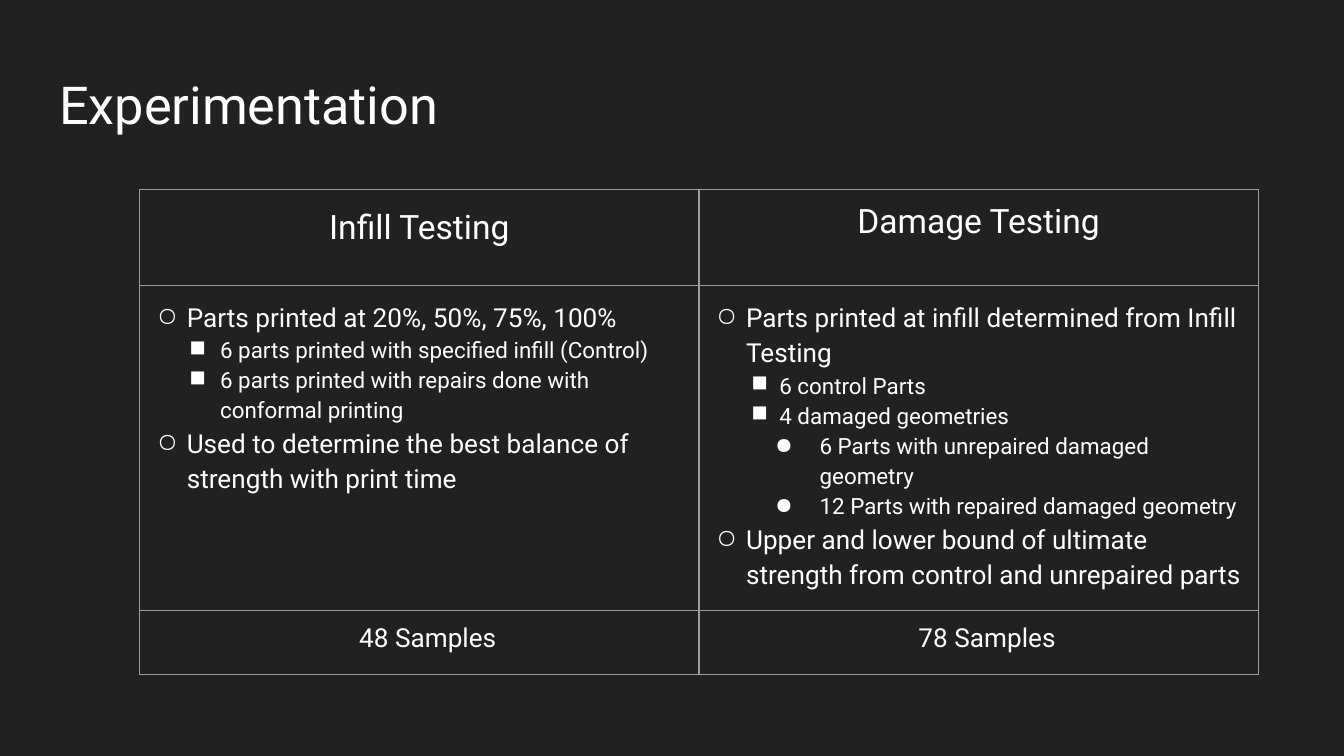
import pptx
import pptx.dml.color
import pptx.enum.text
import pptx.oxml
import pptx.oxml.ns
import pptx.util
from pptx.util import Cm

NS = pptx.oxml.ns.nsdecls("a")
WHITE, GREY, DARK = "FFFFFF", "9E9E9E", "212121"


def color(code):
    return pptx.dml.color.RGBColor.from_string(code)


def write(para, text, size=14, center=False, left=0, hang=0, mark=None, level=0,
          lines=None, after=None):
    """Fill one paragraph; left and hang are its indents in cm."""
    para.level = level
    if center:
        para.alignment = pptx.enum.text.PP_ALIGN.CENTER
    if lines:
        para.line_spacing = lines
    if after:
        para.space_after = pptx.util.Pt(after)
    props = para._p.get_or_add_pPr()
    props.set("marL", str(Cm(left)))
    props.set("indent", str(Cm(-hang)))
    if mark:
        for xml in (f'<a:buClr {NS}><a:srgbClr val="{WHITE}"/></a:buClr>',
                    f'<a:buChar {NS} char="{mark}"/>'):
            props.append(pptx.oxml.parse_xml(xml))
    run = para.add_run()
    run.text = text
    run.font.name = "Roboto"
    run.font.size = pptx.util.Pt(size)
    run.font.color.rgb = color(WHITE)


deck = pptx.Presentation()
deck.slide_width, deck.slide_height = Cm(25.4), Cm(14.29)
slide = deck.slides.add_slide(deck.slide_layouts[6])
slide.background.fill.solid()
slide.background.fill.fore_color.rgb = color(DARK)

title = slide.shapes.add_textbox(Cm(0.87), Cm(1.24), Cm(23.67), Cm(1.6)).text_frame
title.word_wrap = True
write(title.paragraphs[0], "Experimentation", size=28)

# Bullet levels, with the hang of the second level set per column
main = dict(level=1, left=0.64, hang=0.56, mark="○", lines=1.15)
sub = dict(level=2, left=1.27, mark="■", lines=1.15, size=12)
deep = dict(level=3, left=2.03, hang=0.84, mark="●", lines=1.15, size=12)
wide, tight = dict(sub, hang=0.58), dict(sub, hang=0.53)
head = dict(size=18, center=True)
total = dict(center=True, left=0.64, hang=0.32, after=16)

rows = [
    [[("Infill Testing", dict(head, lines=1.15, after=16))],
     [("Damage Testing", head)]],
    [[("Parts printed at 20%, 50%, 75%, 100%", main),
      ("6 parts printed with specified infill (Control)", wide),
      ("6 parts printed with repairs done with conformal printing", wide),
      ("Used to determine the best balance of strength with print time", main)],
     [("Parts printed at infill determined from Infill Testing", main),
      ("6 control Parts", tight),
      ("4 damaged geometries", tight),
      ("6 Parts with unrepaired damaged geometry", deep),
      ("12 Parts with repaired damaged geometry", deep),
      ("Upper and lower bound of ultimate strength from control and unrepaired parts",
       main)]],
    [[("48 Samples", total)], [("78 Samples", total)]],
]
highs = [1.81, 6.03, 1.21]

table = slide.shapes.add_table(
    3, 2, Cm(2.64), Cm(3.58), Cm(21.14), Cm(sum(highs))).table
table.first_row = table.horz_banding = False
for col in table.columns:
    col.width = Cm(10.57)

for r, row in enumerate(rows):
    table.rows[r].height = Cm(highs[r])
    for c, items in enumerate(row):
        cell = table.cell(r, c)
        cell.margin_left = cell.margin_right = Cm(0.25)
        cell.margin_top = cell.margin_bottom = Cm(0.25)
        cell.fill.background()
        for spot, side in enumerate("LRTB"):
            cell._tc.tcPr.insert(spot, pptx.oxml.parse_xml(
                f'<a:ln{side} {NS} w="{pptx.util.Pt(0.75)}"><a:solidFill>'
                f'<a:srgbClr val="{GREY}"/></a:solidFill></a:ln{side}>'))
        frame = cell.text_frame
        for n, (text, style) in enumerate(items):
            para = frame.add_paragraph() if n else frame.paragraphs[0]
            write(para, text, **style)

deck.save("out.pptx")
